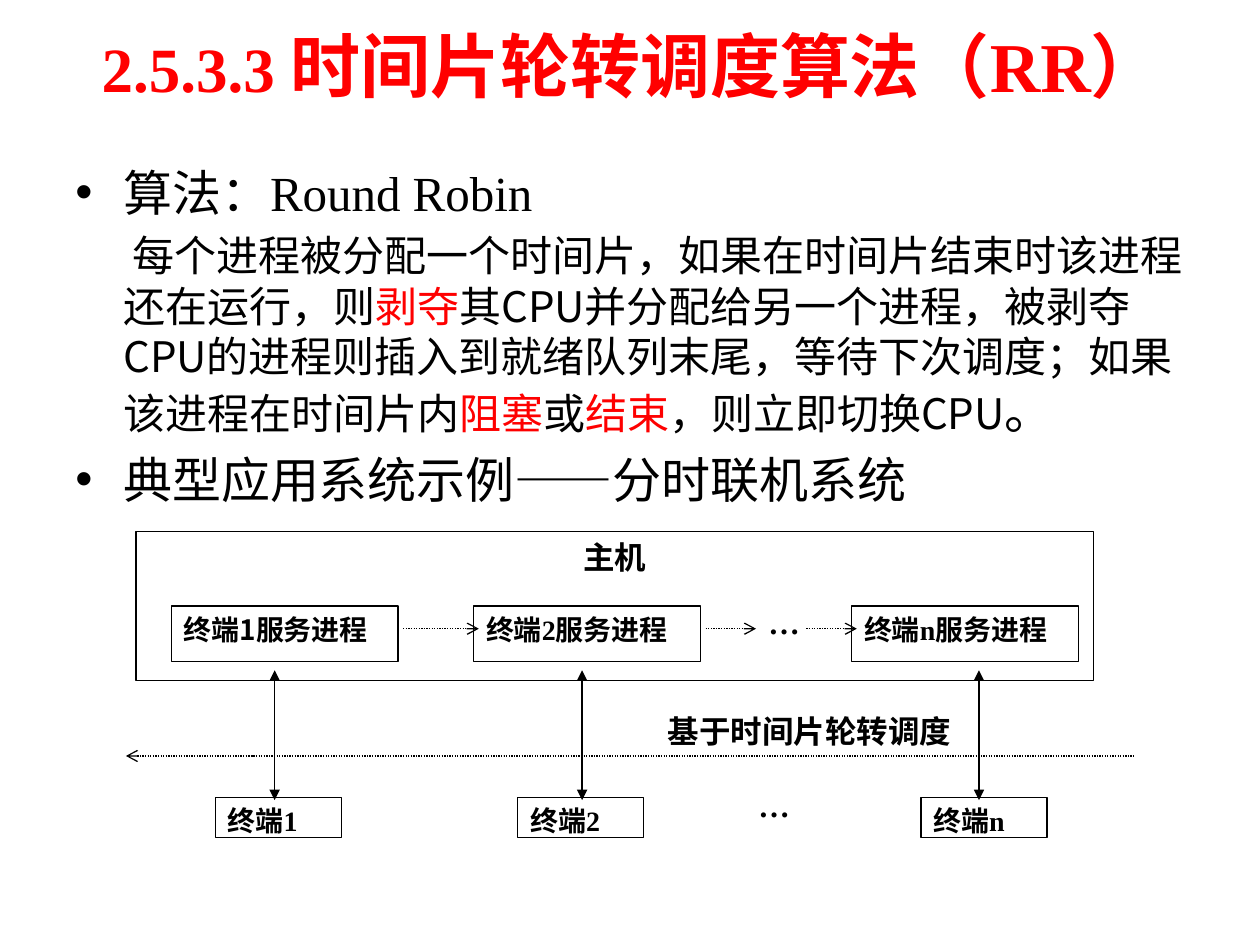
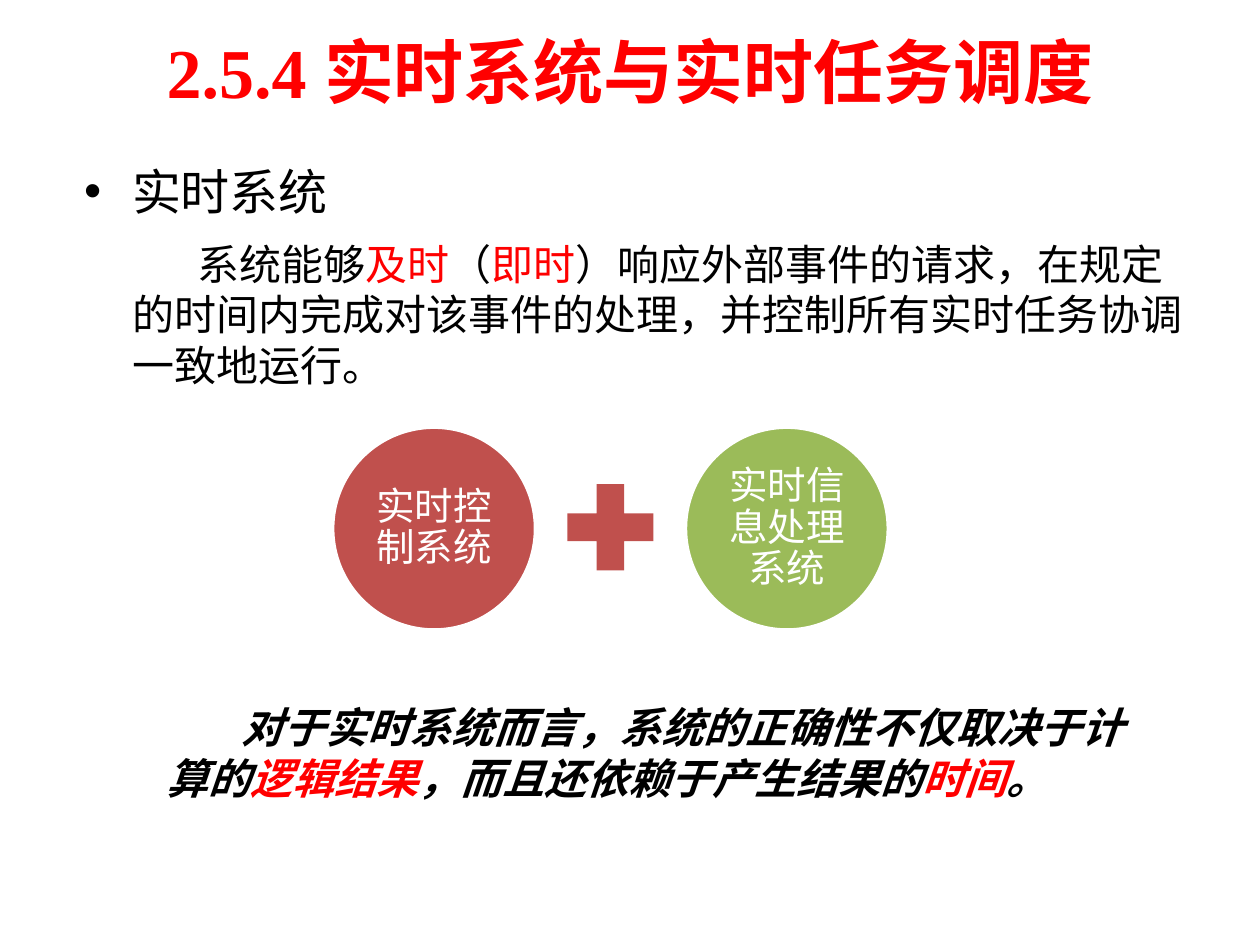
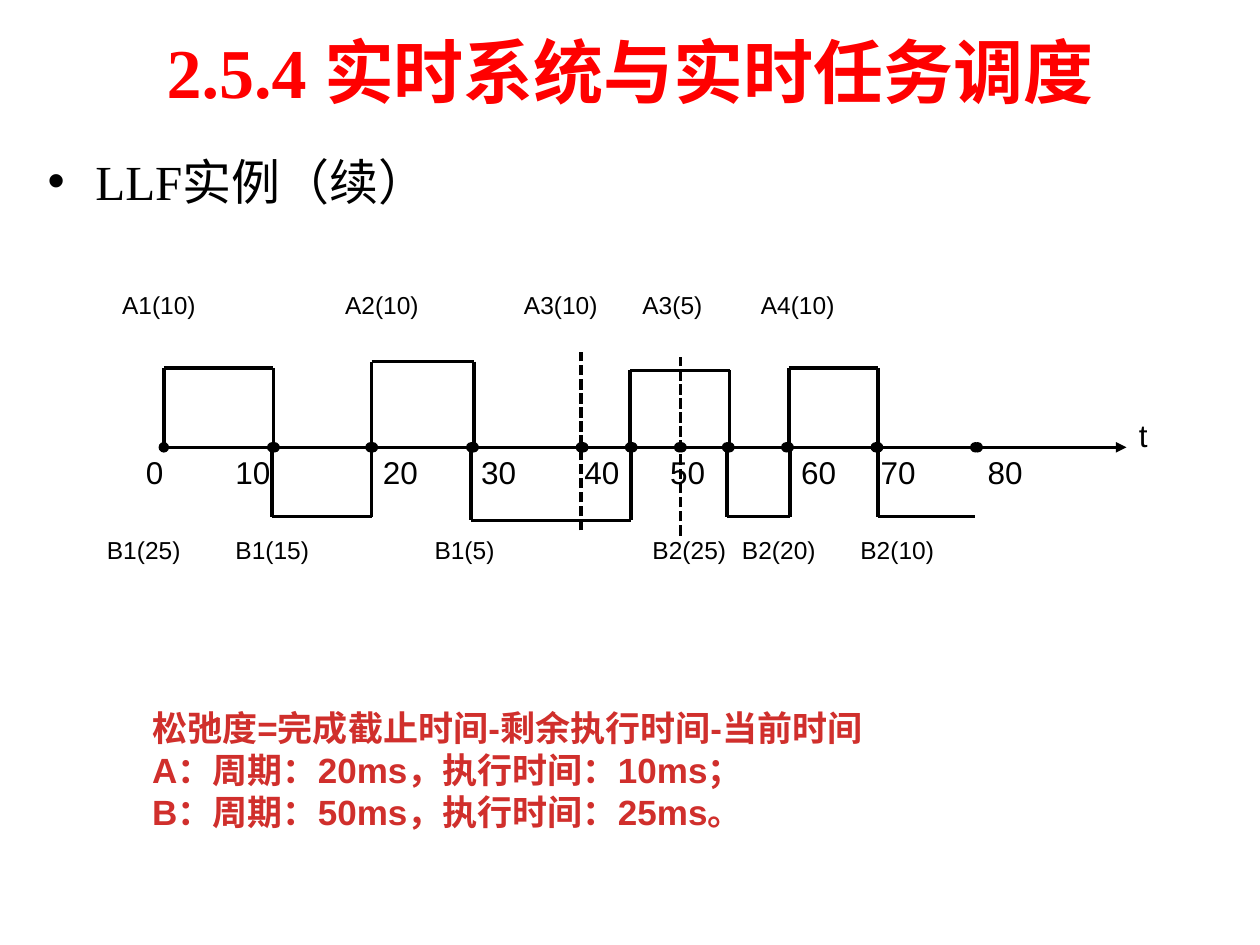
from dataclasses import dataclass

from lxml import etree
from pptx import Presentation
from pptx import util as u
from pptx.dml.color import RGBColor
from pptx.enum import dml, shapes, text
from pptx.oxml.ns import qn


@dataclass(frozen=True)
class Theme:
    black: str = "000000"
    white: str = "FFFFFF"
    title: str = "FF0000"
    mark: str = "FE0000"
    note: str = "D02F2C"
    brick: str = "C0504D"
    green: str = "9BBB59"
    serif: str = "Times New Roman"
    sans: str = "Arial"
    round: str = "Calibri"
    asian: str = "Noto Sans CJK SC"
    head: int = 40
    lead: int = 28
    body: int = 24
    disc: int = 22
    rule: int = 20
    label: int = 18
    node: int = 16
    small: int = 14
    thin: float = 0.75
    thick: float = 2


T = Theme()
DOTS = dml.MSO_LINE.ROUND_DOT
DASH = dml.MSO_LINE.SQUARE_DOT


def color(code):
    return RGBColor.from_string(code)


def curve(start, parts, steps=16):
    points = [start]
    for a, b, end in parts:
        for i in range(1, steps + 1):
            t = i / steps
            s = 1 - t
            points.append(tuple(
                s**3 * p + 3 * s * s * t * q + 3 * s * t * t * r + t**3 * v
                for p, q, r, v in zip(start, a, b, end)))
        start = end
    return points


class Deck:
    def __init__(self, theme):
        self.theme = theme
        self.prs = Presentation()
        self.prs.slide_width = u.Inches(10)
        self.prs.slide_height = u.Inches(7.5)
        self.slide = None

    def page(self, title, top=0.05, left=0.5):
        self.slide = self.prs.slides.add_slide(self.prs.slide_layouts[6])
        frame = self.box(left, top, 9, 1.02)
        frame.vertical_anchor = text.MSO_ANCHOR.MIDDLE
        return self.para(frame, title, self.theme.head, ink=self.theme.title,
                         bold=True, center=True)

    def box(self, left, top, width, height):
        area = map(u.Inches, (left, top, width, height))
        frame = self.slide.shapes.add_textbox(*area).text_frame
        frame.word_wrap = True
        return frame

    def para(self, frame, words, size, font=None, ink=None, bold=False,
             italic=False, center=False, margin=0, first=0, bullet=False,
             before=0, after=0, mark=None):
        par = frame.paragraphs[0]
        if par.runs:
            par = frame.add_paragraph()
            par.space_before = u.Pt(before)
        par.space_after = u.Pt(after)
        par.alignment = text.PP_ALIGN.CENTER if center else text.PP_ALIGN.LEFT
        props = par._p.get_or_add_pPr()
        props.set("marL", str(u.Inches(margin)))
        props.set("indent", str(u.Inches(first)))
        if bullet:
            etree.SubElement(props, qn("a:buFont"), typeface=self.theme.sans)
            etree.SubElement(props, qn("a:buChar"), char="•")
        par.font.size = u.Pt(size)
        par.font.name = font or self.theme.serif
        par.font.bold = bold
        par.font.italic = italic
        par.font.color.rgb = color(ink or self.theme.black)
        latin = props.find(qn("a:defRPr")).find(qn("a:latin"))
        latin.addnext(etree.Element(qn("a:ea"), typeface=self.theme.asian))
        for i, part in enumerate(words.split("|")):
            if part:
                run = par.add_run()
                run.text = part
                if i % 2:
                    run.font.color.rgb = color(mark or self.theme.mark)
        return par

    def point(self, frame, words, **style):
        self.para(frame, words, self.theme.lead, margin=0.38, first=-0.38,
                  bullet=True, before=5.6, **style)

    def label(self, words, left, top, width, height, size, **style):
        frame = self.box(left, top, width, height)
        frame.margin_right = 0
        self.para(frame, words, size, **style)

    def form(self, kind, left, top, width, height, fill=None, edge=None,
             weight=0.75):
        area = map(u.Inches, (left, top, width, height))
        shape = self.slide.shapes.add_shape(kind, *area)
        shape.shadow.inherit = False
        if fill:
            shape.fill.solid()
            shape.fill.fore_color.rgb = color(fill)
        else:
            shape.fill.background()
        if edge:
            self.stroke(shape, edge, weight)
        else:
            shape.line.fill.background()
        return shape

    def rect(self, words, left, top, width, height, size, **style):
        shape = self.form(shapes.MSO_SHAPE.RECTANGLE, left, top, width, height,
                          edge=self.theme.black)
        shape.text_frame.vertical_anchor = text.MSO_ANCHOR.TOP
        self.para(shape.text_frame, words, size, bold=True, **style)

    def disc(self, words, left, top, size, fill):
        shape = self.form(shapes.MSO_SHAPE.OVAL, left, top, size, size, fill,
                          self.theme.white, self.theme.thick)
        frame = shape.text_frame
        frame.word_wrap = True
        frame.margin_left = frame.margin_right = u.Inches(0.03)
        frame.margin_top = frame.margin_bottom = u.Inches(0.03)
        par = self.para(frame, words, self.theme.disc, self.theme.round,
                        self.theme.white, center=True)
        par.line_spacing = 0.9

    def stroke(self, shape, ink, weight, dash=None, head=None, tail=None):
        shape.line.color.rgb = color(ink)
        shape.line.width = u.Pt(weight)
        if dash:
            shape.line.dash_style = dash
        line = shape.element.spPr.find(qn("a:ln"))
        for tag, end in (("a:headEnd", head), ("a:tailEnd", tail)):
            if end:
                etree.SubElement(line, qn(tag), type=end)

    def line(self, start, end, weight=0.75, **ends):
        wire = self.slide.shapes.add_connector(
            shapes.MSO_CONNECTOR.STRAIGHT, *map(u.Inches, (*start, *end)))
        self.stroke(wire, self.theme.black, weight, **ends)
        etree.SubElement(wire.element.spPr, qn("a:effectLst"))

    def chain(self, points, weight):
        for start, end in zip(points, points[1:]):
            self.line(start, end, weight)

    def sweep(self, points, **ends):
        maker = self.slide.shapes.build_freeform(*points[0], scale=u.Inches(1))
        maker.add_line_segments(points[1:], close=False)
        shape = maker.convert_to_shape()
        shape.shadow.inherit = False
        shape.fill.background()
        self.stroke(shape, self.theme.black, self.theme.thin, **ends)


def robin(deck):
    title = deck.page("2.5.3.3 ||时间片轮转调度算法（RR）", 0, 0.51)
    title.runs[0].font.size = u.Pt(36)

    frame = deck.box(0.5, 1.24, 9, 4.95)
    deck.point(frame, "算法：Round Robin")
    par = deck.para(
        frame,
        "每个进程被分配一个时间片，如果在时间片结束时该进程还在运行，则|剥夺|其CPU并分配给另一个进程，"
        "被剥夺CPU的进程则插入到就绪队列末尾，等待下次调度；如果该进程在时间片内|阻塞|或|结束|，"
        "则立即切换CPU||。",
        T.body, T.asian, margin=0.38, first=0.07, before=4.8)
    par.runs[-1].font.size = u.Pt(T.lead)
    par.runs[-1].font.name = T.serif
    deck.point(frame, "典型应用系统示例——分时联机系统")

    deck.label("基于时间片轮转调度", 5.2, 5.6, 2.6, 0.77, T.label, bold=True)
    deck.rect("主机", 1.08, 4.22, 7.6, 1.18, T.label, center=True)
    hosts = (("1", 1.36, 2.18, T.asian), ("2", 3.76, 4.62, T.serif),
             ("n", 6.76, 7.77, T.serif))
    for name, left, mid, font in hosts:
        deck.rect(f"终端{name}服务进程", left, 4.81, 1.8, 0.44, T.node, font=font)
        end = left + (0.55 if name == "n" else 0.35)
        deck.rect(f"终端{name}", end, 6.33, 1, 0.32, T.node)
        deck.line((mid, 5.32), (mid, 6.35), head="triangle", tail="triangle")
    for left, top in ((6, 4.74), (5.92, 6.19)):
        deck.label("…", left, top, 0.6, 0.32, T.label, bold=True)
    for start, end in ((3.2, 3.8), (5.6, 6), (6.4, 6.8)):
        deck.line((start, 4.99), (end, 4.99), dash=DOTS, tail="arrow")
    deck.sweep(curve((1.4, 5.8), [
        ((1.21, 5.85), (1.03, 5.9), (1, 5.94)),
        ((0.96, 5.99), (0.76, 6.06), (1.2, 6.09)),
        ((1.63, 6.13), (2.46, 6.15), (3.6, 6.17)),
        ((4.73, 6.18), (7.1, 6.19), (8, 6.17)),
        ((8.9, 6.14), (8.9, 6.07), (9, 6.02)),
        ((9.1, 5.97), (8.85, 5.92), (8.6, 5.87)),
    ]), dash=DOTS, head="arrow")


TASKS = "2.5.4 实时系统与实时任务调度"


def system(deck):
    deck.page(TASKS)
    frame = deck.box(0.57, 1.23, 9, 4.95)
    deck.point(frame, "实时系统", after=5.6)
    deck.para(
        frame,
        "系统能够|及时|（|即时|）响应外部事件的请求，在规定的时间内完成对该事件的处理，"
        "并控制所有实时任务协调一致地运行。",
        T.body, margin=0.38, first=0.52, before=4.8)
    deck.para(
        deck.box(1.22, 5.52, 7.8, 0.91),
        "对于实时系统而言，系统的正确性不仅取决于计算的|逻辑结果|，而且还依赖于产生结果的|时间|。",
        T.body, T.sans, bold=True, italic=True, first=0.6, mark=T.title)
    deck.disc("实时控制系统", 2.64, 3.39, 1.61, T.brick)
    deck.form(shapes.MSO_SHAPE.MATH_PLUS, 4.38, 3.72, 0.93, 0.93, T.brick)
    deck.disc("实时信息处理系统", 5.44, 3.39, 1.61, T.green)


def laxity(deck):
    deck.page(TASKS)
    deck.point(deck.box(0.28, 1.15, 9, 4.95), "LLF实例（续）")
    frame = deck.box(0.61, 5.56, 6.58, 1.45)
    for words in ("松弛度=完成截止时间-剩余执行时间-当前时间",
                  "A：周期：20ms，执行时间：10ms；",
                  "B：周期：50ms，执行时间：25ms。"):
        deck.para(frame, words, T.rule, T.sans, T.note, bold=True, margin=0.5)

    axis = 3.55
    deck.line((1.3, axis), (8.94, axis), T.thick, head="oval", tail="triangle")
    for x in (2.16, 2.94, 3.74, 4.61, 5, 5.39, 5.77, 6.24, 6.95, 7.74):
        deck.line((x, axis), (x + 0.02, axis), head="oval", tail="oval")

    pulses = (
        (2.92, (1.3, 2.17)), (2.87, (2.95, 3.76)),
        (2.94, (5, 5.4, 5.79)), (2.92, (6.26, 6.97)),
        (4.1, (2.16, 2.95)), (4.13, (3.74, 4.61, 5.01)),
        (4.1, (5.77, 6.27)),
    )
    for level, stops in pulses:
        deck.chain([(stops[0], axis), *((x, level) for x in stops),
                    (stops[-1], axis)], T.thick)
    deck.chain([(6.97, axis), (6.97, 4.1), (7.74, 4.1)], T.thick)
    for x, low, high in ((4.61, 4.21, 2.79), (5.4, 4.25, 2.83)):
        deck.line((x, low), (x, high), T.thick, dash=DASH)

    ticks = (1.06, 1.77, 2.94, 3.72, 4.54, 5.22, 6.26, 6.89, 7.74)
    for i, left in enumerate(ticks):
        deck.label(str(i * 10), left, axis, 0.57, 0.5, T.label, font=T.sans)
    deck.label("t", 8.94, 3.25, 0.31, 0.5, T.label, font=T.sans)
    rows = (
        (2.25, (("A1(10)", 0.87), ("A2(10)", 2.64), ("A3(10)", 4.06),
                ("A3(5)", 5), ("A4(10)", 5.94))),
        (4.2, (("B1(25)", 0.75), ("B1(15)", 1.77), ("B1(5)", 3.35),
               ("B2(25)", 5.08), ("B2(20)", 5.79), ("B2(10)", 6.73))),
    )
    for top, names in rows:
        for name, left in names:
            deck.label(name, left, top, 0.79, 0.34, T.small, font=T.sans)


def main():
    deck = Deck(T)
    for build in (robin, system, laxity):
        build(deck)
    deck.prs.save("out.pptx")


if __name__ == "__main__":
    main()
